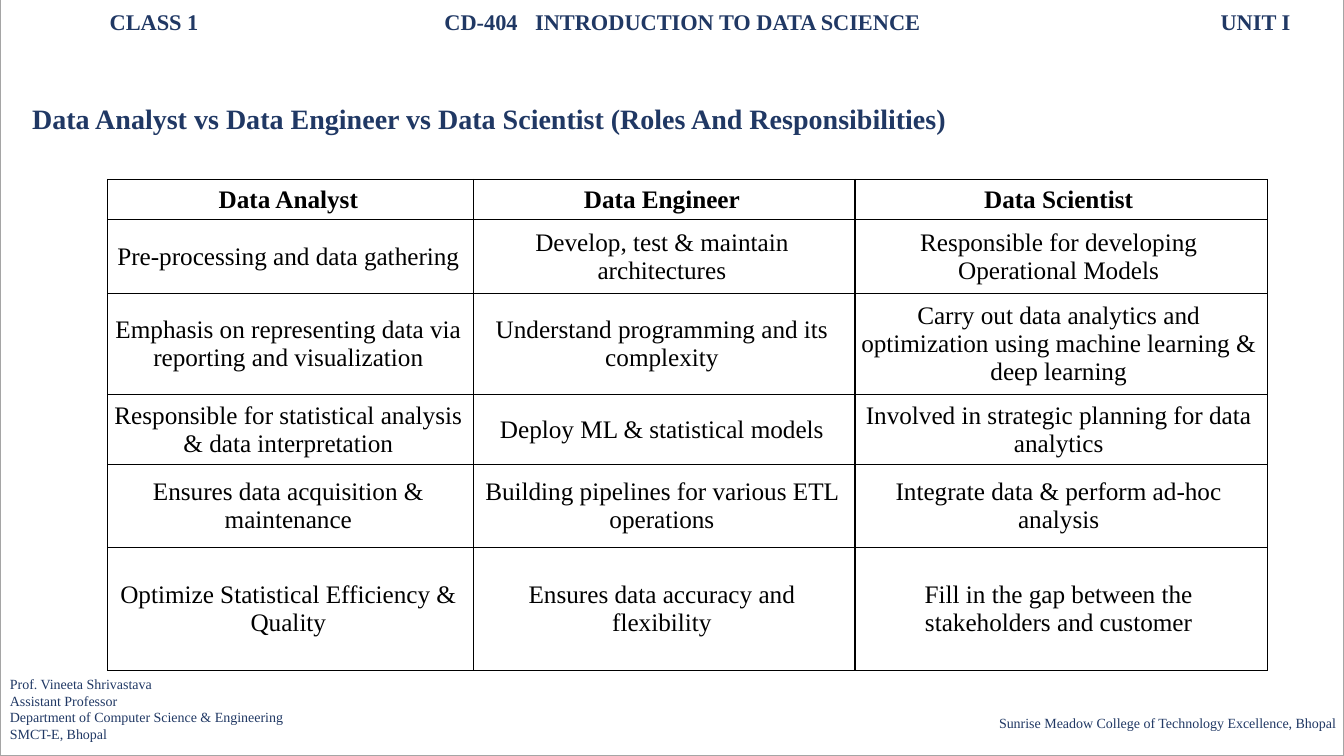
from lxml import etree
from pptx import Presentation
from pptx.dml.color import RGBColor
from pptx.enum import shapes, text
from pptx.oxml import ns
from pptx.util import Inches, Pt

NAVY = RGBColor(0x20, 0x38, 0x64)
BLACK = RGBColor(0, 0, 0)
WHITE = RGBColor(0xFF, 0xFF, 0xFF)
GRAY = RGBColor(0xA5, 0xA5, 0xA5)
FONT = "Times New Roman"

HEADER = "CLASS 1\tCD-404\tINTRODUCTION TO DATA SCIENCE\tUNIT I"
HEADER_TABS = [(3.32, "l"), (4.22, "l"), (11.71, "r")]
TITLE = "Data Analyst vs Data Engineer vs Data Scientist (Roles And Responsibilities)"
AUTHOR = "\n".join([
    "Prof. Vineeta Shrivastava",
    "Assistant Professor",
    "Department of Computer Science & Engineering",
    "SMCT-E, Bhopal",
])
COLLEGE = "Sunrise Meadow College of Technology Excellence, Bhopal"

ROLES = [
    ["Data Analyst", "Data Engineer", "Data Scientist"],
    ["Pre-processing and data gathering",
     "Develop, test & maintain architectures",
     "Responsible for developing Operational Models"],
    ["Emphasis on representing data via reporting and visualization",
     "Understand programming and its complexity",
     "Carry out data analytics and optimization using machine learning & deep learning"],
    ["Responsible for statistical analysis & data interpretation",
     "Deploy ML & statistical models",
     "Involved in strategic planning for data analytics"],
    ["Ensures data acquisition & maintenance",
     "Building pipelines for various ETL operations",
     "Integrate data & perform ad-hoc analysis"],
    ["Optimize Statistical Efficiency & Quality",
     "Ensures data accuracy and flexibility",
     "Fill in the gap between the stakeholders and customer"],
]
COLUMN_WIDTHS = [3.63, 3.78, 4.09]
ROW_HEIGHTS = [0.4, 0.73, 1.0, 0.7, 0.82, 1.22]


def format_text(text_frame, size, color, bold=False):
    for paragraph in text_frame.paragraphs:
        for run in paragraph.runs:
            run.font.name = FONT
            run.font.size = Pt(size)
            run.font.bold = bold
            run.font.color.rgb = color


def add_frame(slide, left, top, width, height):
    frame = slide.shapes.add_shape(
        shapes.MSO_SHAPE.RECTANGLE,
        Inches(left), Inches(top), Inches(width), Inches(height))
    frame.shadow.inherit = False
    frame.fill.solid()
    frame.fill.fore_color.rgb = WHITE
    frame.line.color.rgb = GRAY
    frame.line.width = Pt(1)


def add_label(slide, left, top, width, height, content, size, bold=False):
    label = slide.shapes.add_textbox(
        Inches(left), Inches(top), Inches(width), Inches(height))
    text_frame = label.text_frame
    text_frame.word_wrap = True
    text_frame.text = content
    format_text(text_frame, size, NAVY, bold)
    return text_frame


def add_header(slide, left, top, width, height):
    text_frame = add_label(slide, left, top, width, height, HEADER, 16, True)
    properties = text_frame.paragraphs[0]._p.get_or_add_pPr()
    tab_list = etree.SubElement(properties, ns.qn("a:tabLst"))
    for position, alignment in HEADER_TABS:
        etree.SubElement(tab_list, ns.qn("a:tab"),
                         pos=str(Inches(position)), algn=alignment)


def add_footer(slide, left, top, width, height):
    add_label(slide, left, top, 3.3, height, AUTHOR, 10)
    college_width = 3.52
    college = add_label(slide, left + width - college_width, top + 0.39,
                        college_width, 0.27, COLLEGE, 10)
    college.margin_right = 0


def set_borders(cell):
    properties = cell._tc.get_or_add_tcPr()
    for index, side in enumerate(("a:lnL", "a:lnR", "a:lnT", "a:lnB")):
        line = etree.Element(ns.qn(side), w=str(Pt(1)))
        fill = etree.SubElement(line, ns.qn("a:solidFill"))
        etree.SubElement(fill, ns.qn("a:srgbClr"), val=str(BLACK))
        properties.insert(index, line)


def add_roles_table(slide, left, top, width, height):
    table = slide.shapes.add_table(
        len(ROLES), len(COLUMN_WIDTHS),
        Inches(left), Inches(top), Inches(width), Inches(height)).table
    for column, column_width in zip(table.columns, COLUMN_WIDTHS):
        column.width = Inches(column_width)
    for row, row_height in zip(table.rows, ROW_HEIGHTS):
        row.height = Inches(row_height)
    for row_index, contents in enumerate(ROLES):
        for column_index, content in enumerate(contents):
            cell = table.cell(row_index, column_index)
            cell.text_frame.text = content
            cell.text_frame.paragraphs[0].alignment = text.PP_ALIGN.CENTER
            cell.vertical_anchor = text.MSO_ANCHOR.MIDDLE
            cell.margin_left = cell.margin_top = cell.margin_bottom = Inches(0.05)
            cell.margin_right = Inches(0.1)
            cell.fill.background()
            set_borders(cell)
            format_text(cell.text_frame, 18, BLACK, row_index == 0)


def main():
    presentation = Presentation()
    presentation.slide_width = Inches(13.33)
    presentation.slide_height = Inches(7.5)
    slide = presentation.slides.add_slide(presentation.slide_layouts[6])
    add_frame(slide, 0, -0.08, 13.33, 7.58)
    add_header(slide, 0.99, 0.03, 11.97, 0.37)
    add_footer(slide, 0, 6.65, 13.33, 0.77)
    add_label(slide, 0.22, 0.96, 12.9, 0.44, TITLE, 20, True)
    add_roles_table(slide, 1.07, 1.78, sum(COLUMN_WIDTHS), sum(ROW_HEIGHTS))
    presentation.save("out.pptx")


if __name__ == "__main__":
    main()
